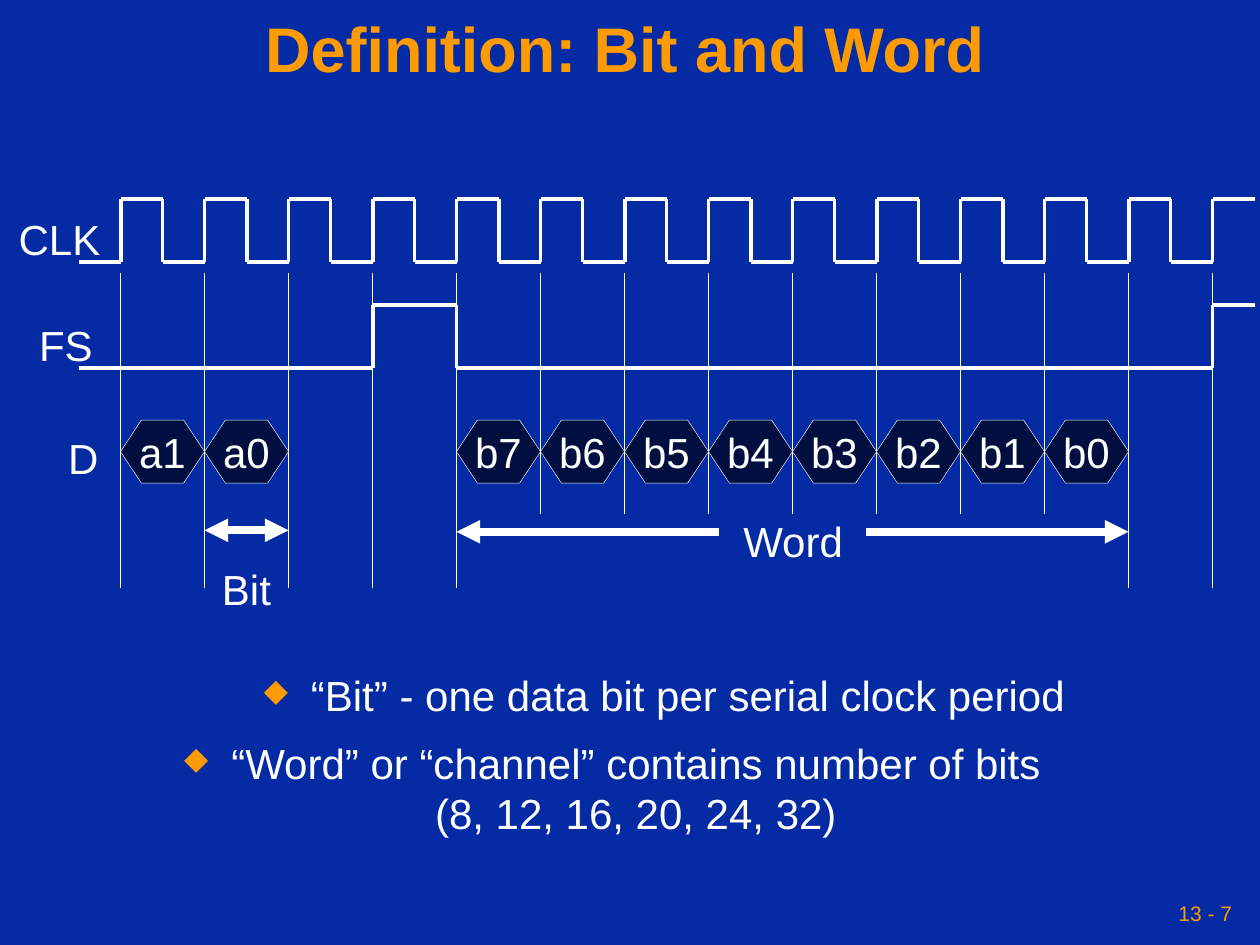
import pptx
import pptx.util
import pptx.dml.color
import pptx.enum.shapes
import pptx.enum.text
import pptx.oxml

Cm = pptx.util.Cm
Pt = pptx.util.Pt
RGBColor = pptx.dml.color.RGBColor
Shape = pptx.enum.shapes.MSO_SHAPE
Link = pptx.enum.shapes.MSO_CONNECTOR
Align = pptx.enum.text.PP_ALIGN
Anchor = pptx.enum.text.MSO_ANCHOR

BLUE = RGBColor(0x04, 0x2A, 0xA4)
NAVY = RGBColor(0x00, 0x0F, 0x40)
GOLD = RGBColor(0xFE, 0x9B, 0x03)
WHITE = RGBColor(0xFF, 0xFF, 0xFF)
names = pptx.oxml.ns.nsdecls("a")

deck = pptx.Presentation()
deck.slide_width = Cm(25.4)
deck.slide_height = Cm(19.05)
slide = deck.slides.add_slide(deck.slide_layouts[6])
slide.background.fill.solid()
slide.background.fill.fore_color.rgb = BLUE


def write(text, left, top, width, height, size=24, color=WHITE, bold=False,
          align=Align.CENTER, anchor=Anchor.TOP, inset=0.25, wrap=False,
          space=None, bullet=None, hexed=False):
    at = Cm(left), Cm(top), Cm(width), Cm(height)
    if hexed:
        box = slide.shapes.add_shape(Shape.HEXAGON, *at)
        box.adjustments[0] = 0.33
        box.shadow.inherit = False
        box.fill.solid()
        box.fill.fore_color.rgb = NAVY
        box.line.color.rgb = WHITE
        box.line.width = Pt(0.25)
    else:
        box = slide.shapes.add_textbox(*at)
    frame = box.text_frame
    frame.word_wrap = wrap
    frame.vertical_anchor = anchor
    frame.margin_left = frame.margin_right = Cm(inset)
    frame.margin_top = frame.margin_bottom = Cm(0.13)
    para = frame.paragraphs[0]
    para.alignment = align
    if space:
        para.line_spacing = space
    run = para.add_run()
    run.text = text
    run.font.name = "Arial"
    run.font.size = Pt(size)
    run.font.bold = bold
    run.font.color.rgb = color
    if bullet:
        props = para._p.get_or_add_pPr()
        props.set("marL", str(Cm(0.95)))
        props.set("indent", str(-Cm(0.95)))
        for part in (f'<a:buClr {names}><a:srgbClr val="{GOLD}"/></a:buClr>',
                     f'<a:buSzPct {names} val="75000"/>',
                     f'<a:buChar {names} char="{bullet}"/>'):
            props.append(pptx.oxml.parse_xml(part))


def draw(x1, y1, x2, y2, width=2.25, ends=()):
    line = slide.shapes.add_connector(Link.STRAIGHT, Cm(x1), Cm(y1), Cm(x2), Cm(y2))
    line.line.color.rgb = WHITE
    line.line.width = Pt(width)
    for end in ends:
        line.line._ln.append(pptx.oxml.parse_xml(f'<a:{end} {names} type="triangle"/>'))
    line._element.spPr.append(pptx.oxml.parse_xml(f"<a:effectLst {names}/>"))


write("13 - 7", 17.35, 17.98, 7.62, 0.84, size=12, color=GOLD,
      align=Align.RIGHT, anchor=Anchor.MIDDLE, inset=0.13)
write("Definition: Bit and Word", 0, 0, 25.2, 2.11, size=36, color=GOLD,
      bold=True, anchor=Anchor.MIDDLE, inset=0.13, wrap=True, space=0.9)

step = 5.08 / 3
ticks = [2.43 + step * i for i in range(14)]
start = ticks[0] - step / 2
stop = ticks[-1] + step / 2

high, low = 4.02, 5.29
draw(start, low, ticks[0], low)
for tick in ticks:
    mid = tick + step / 2
    draw(tick, high, tick, low)
    draw(tick, high, mid, high)
    if tick != ticks[-1]:
        draw(mid, high, mid, low)
        draw(mid, low, tick + step, low)

for i, tick in enumerate(ticks):
    draw(tick, 5.5, tick, 10.37 if 5 <= i <= 11 else 11.85, width=0.25)

high, low = 6.14, 7.41
for i in (3, 4, 13):
    draw(ticks[i], high, ticks[i], low)
draw(start, low, ticks[3], low)
draw(ticks[3], high, ticks[4], high)
draw(ticks[4], low, ticks[13], low)
draw(ticks[13], high, stop, high)

for first, bits in ((0, ("a1", "a0")),
                    (4, ("b7", "b6", "b5", "b4", "b3", "b2", "b1", "b0"))):
    for tick, bit in zip(ticks[first:], bits):
        write(bit, tick, 8.47, step, 1.27, anchor=Anchor.MIDDLE, hexed=True)

draw(17.45, 10.72, ticks[12], 10.72, width=4.5, ends=["tailEnd"])
draw(14.5, 10.72, ticks[4], 10.72, width=4.5, ends=["tailEnd"])
draw(ticks[2], 10.69, ticks[1], 10.69, width=4.5, ends=["headEnd", "tailEnd"])

for text, left, top, width in (("CLK", 0.1, 4.17, 2.2),
                               ("FS", 0.43, 6.32, 1.8),
                               ("D", 1.08, 8.59, 1.2),
                               ("Word", 14.69, 10.26, 2.6),
                               ("Bit", 4.17, 11.23, 1.6)):
    write(text, left, top, width, 1.27)

write("“Word” or “channel” contains number of bits (8, 12, 16, 20, 24, 32)",
      2.92, 14.73, 18.85, 2.29, wrap=True, bullet="◆")
write("“Bit” - one data bit per serial clock period",
      4.95, 13.36, 16.89, 1.27, bullet="◆")

deck.save("out.pptx")
